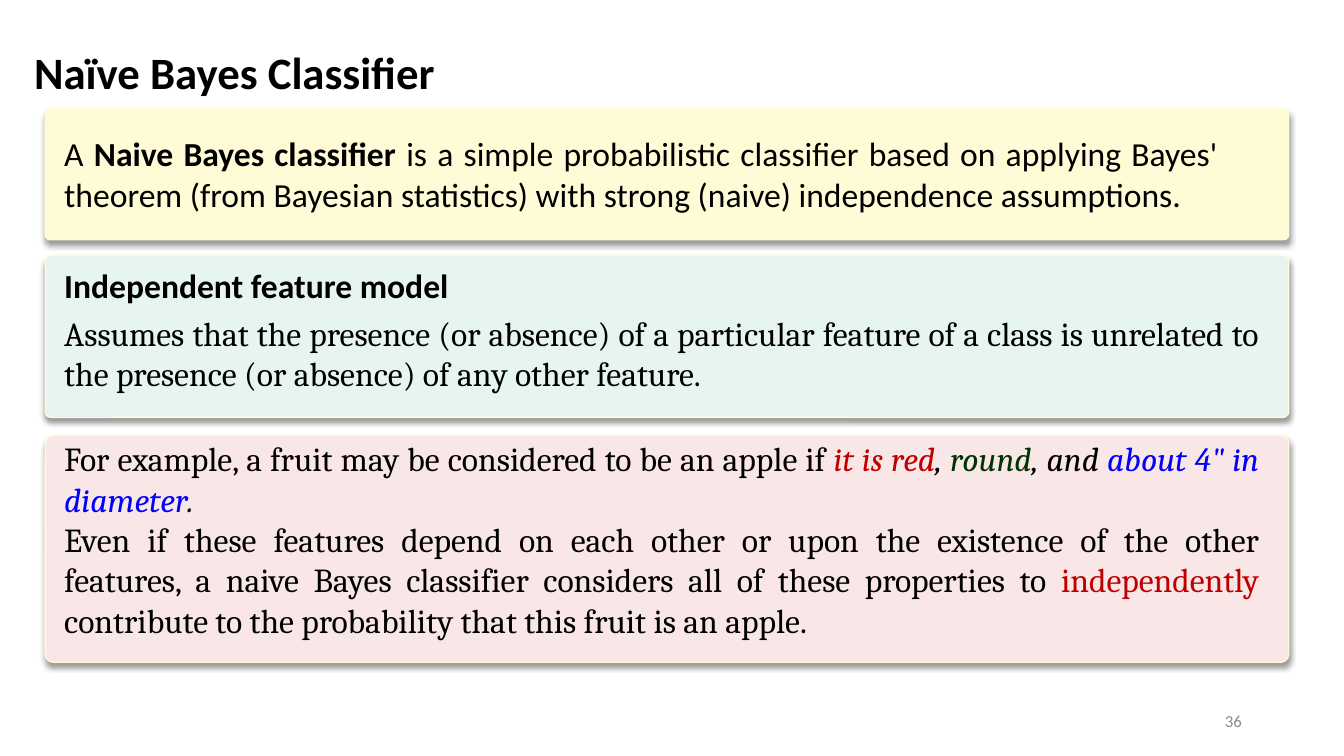
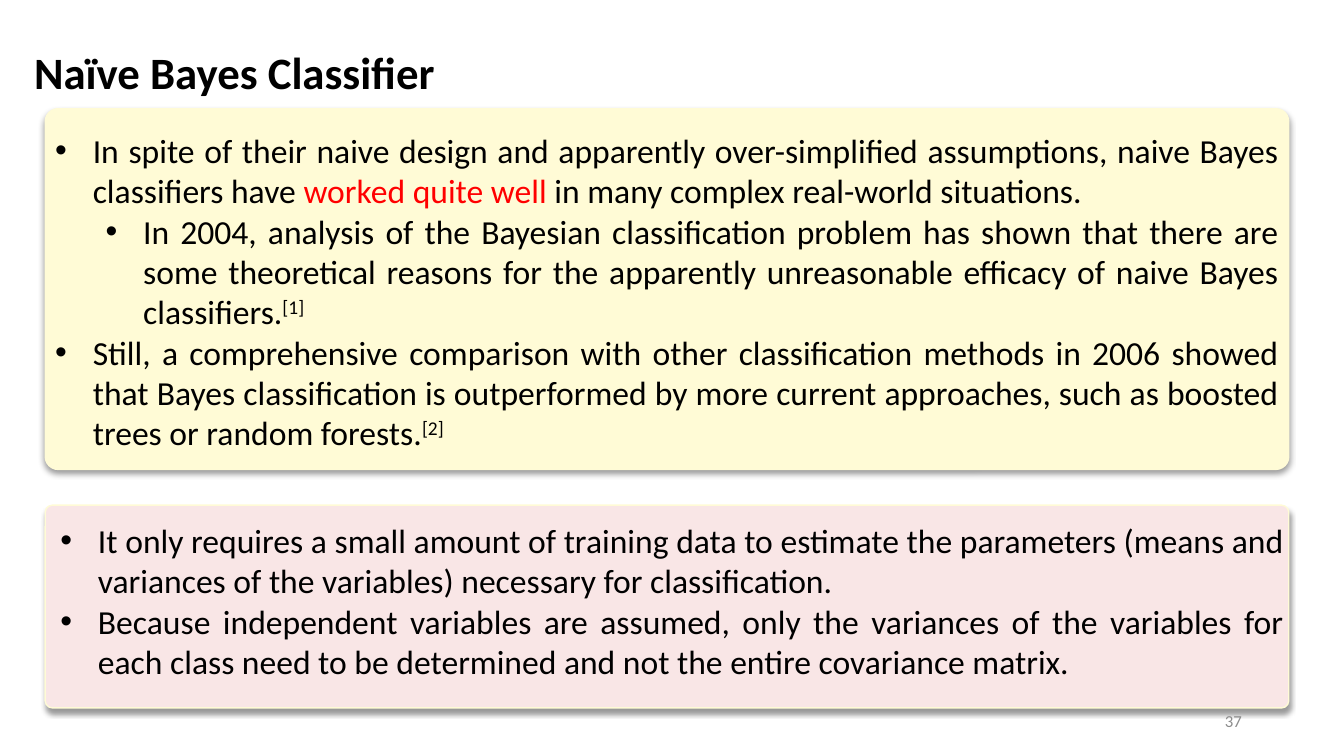
import lxml.etree
import pptx
import pptx.dml.color
import pptx.enum.shapes
import pptx.enum.text
import pptx.oxml.ns
import pptx.util
from pptx.util import Cm

qn = pptx.oxml.ns.qn
ALIGN = pptx.enum.text.PP_ALIGN
ANCHOR = pptx.enum.text.MSO_ANCHOR
FIT = pptx.enum.text.MSO_AUTO_SIZE

BLACK, GREY, RED, BRIGHT_RED = "000000", "8C8C8C", "C00000", "FF0000"
GREEN, BLUE = "003300", "0000FF"
YELLOW, MINT, PINK = "FFFBD6", "E6F5F0", "F9E6E6"

PANEL_LEFT, PANEL_WIDTH = 1.14, 31.34
TITLE = "Naïve Bayes Classifier"
TITLE_FORMAT = {"size": 32, "bold": True}
NUMBER_FORMAT = {"size": 12, "color": GREY}
SERIF = {"name": "Cambria"}
LINE_BREAK = "\n"
BULLET_STEP, BULLET_HANG = 1.27, 0.95


def color(hex_string):
    return pptx.dml.color.RGBColor.from_string(hex_string)


def add_text(slide, box, paragraphs, base=None, align=ALIGN.JUSTIFY, wrap=True,
             fit=FIT.SHAPE_TO_FIT_TEXT, anchor=ANCHOR.TOP, line_spacing=None):
    """Add a text box; each paragraph is (bullet level or None, [(text, format)])."""
    frame = slide.shapes.add_textbox(*map(Cm, box)).text_frame
    for name, value in {"word_wrap": wrap, "auto_size": fit,
                        "vertical_anchor": anchor}.items():
        setattr(frame, name, value)
    for index, (level, runs) in enumerate(paragraphs):
        paragraph = frame.add_paragraph() if index else frame.paragraphs[0]
        paragraph.alignment = align
        if line_spacing:
            paragraph.line_spacing = line_spacing
        if level is not None:
            paragraph.level = level
            properties = paragraph._p.get_or_add_pPr()
            properties.set("marL", str(Cm(BULLET_HANG + level * BULLET_STEP)))
            properties.set("indent", str(-Cm(BULLET_HANG)))
            lxml.etree.SubElement(properties, qn("a:buFont"), typeface="Arial")
            lxml.etree.SubElement(properties, qn("a:buChar"), char="•")
        for text, changes in runs:
            if text == LINE_BREAK:
                paragraph.add_line_break()
                continue
            run = paragraph.add_run()
            run.text = text
            style = {"name": "Calibri", "size": 24, "color": BLACK,
                     **(base or {}), **changes}
            run.font.color.rgb = color(style.pop("color"))
            run.font.size = pptx.util.Pt(style.pop("size"))
            if style.pop("superscript", False):
                run._r.get_or_add_rPr().set("baseline", "30000")
            for name, value in style.items():
                setattr(run.font, name, value)


slides = [
    {
        "number": "36",
        "panels": [(2.74, 3.3, YELLOW), (6.43, 4.09, MINT), (10.97, 5.72, PINK)],
        "texts": [
            {"box": (1.37, 3.23, 29.57, 2.31), "paragraphs": [(None, [
                ("A ", {}),
                ("Naive Bayes classifier ", {"bold": True}),
                ("is a simple probabilistic classifier based on applying Bayes' "
                 "theorem (from Bayesian statistics) with strong (naive) "
                 "independence assumptions.", {}),
            ])]},
            {"box": (1.37, 7.75, 30.61, 2.31), "base": SERIF, "paragraphs": [(None, [
                ("Assumes that the presence (or absence) of a particular feature "
                 "of a class is unrelated to the presence (or absence) of any "
                 "other feature.", {}),
            ])]},
            {"box": (1.37, 6.55, 10.29, 1.27), "wrap": False, "paragraphs": [(None, [
                ("Independent feature model", {"bold": True}),
            ])]},
            {"box": (1.37, 10.92, 30.61, 5.38), "base": SERIF, "paragraphs": [
                (None, [
                    ("For example, a fruit may be considered to be an apple if ", {}),
                    ("it is red", {"color": RED, "italic": True}),
                    (", ", {"italic": True}),
                    ("round", {"color": GREEN, "italic": True}),
                    (", and ", {"italic": True}),
                    ("about 4\" in diameter", {"color": BLUE, "italic": True}),
                    (".", {"italic": True}),
                ]),
                (None, [
                    ("Even if these features depend on each other or upon the "
                     "existence of the other", {}),
                    (LINE_BREAK, {}),
                    ("features, a naive Bayes classifier considers all of these "
                     "properties to ", {}),
                    ("independently", {"color": RED}),
                    (" contribute to the probability that this fruit is an apple.", {}),
                ]),
            ]},
        ],
    },
    {
        "number": "37",
        "panels": [(2.74, 9.09, YELLOW), (12.73, 5.11, PINK)],
        "texts": [
            {"box": (PANEL_LEFT, 3.15, PANEL_WIDTH, 8.46), "paragraphs": [
                (0, [
                    ("In spite of their naive design and apparently over-simplified "
                     "assumptions, naive Bayes classifiers have ", {}),
                    ("worked quite well ", {"color": BRIGHT_RED}),
                    ("in many complex real-world situations.", {}),
                ]),
                (1, [
                    ("In 2004, analysis of the Bayesian classification problem has "
                     "shown that there are some theoretical reasons for the "
                     "apparently unreasonable efficacy of naive Bayes classifiers.", {}),
                    ("[1]", {"superscript": True}),
                ]),
                (0, [
                    ("Still, a comprehensive comparison with other classification "
                     "methods in 2006 showed that Bayes classification is "
                     "outperformed by more current approaches, such as boosted "
                     "trees or random forests.", {}),
                    ("[2]", {"superscript": True}),
                ]),
            ]},
            {"box": (1.27, 12.98, PANEL_WIDTH, 4.37), "paragraphs": [
                (0, [("It only requires a small amount of training data to estimate "
                      "the parameters (means and variances of the variables) "
                      "necessary for classification.", {})]),
                (0, [("Because independent variables are assumed, only the variances "
                      "of the variables for each class need to be determined and "
                      "not the entire covariance matrix.", {})]),
            ]},
        ],
    },
]

presentation = pptx.Presentation()
presentation.slide_width = Cm(33.87)
presentation.slide_height = Cm(19.05)

for content in slides:
    slide = presentation.slides.add_slide(presentation.slide_layouts[6])

    for top, height, fill in content["panels"]:
        panel = slide.shapes.add_shape(
            pptx.enum.shapes.MSO_SHAPE.ROUNDED_RECTANGLE,
            Cm(PANEL_LEFT), Cm(top), Cm(PANEL_WIDTH), Cm(height))
        panel.adjustments[0] = 0.036
        panel.fill.solid()
        panel.fill.fore_color.rgb = color(fill)
        panel.line.color.rgb = color(YELLOW)
        panel.line.width = pptx.util.Pt(1)
        panel.shadow.inherit = False
        effects = panel._element.spPr.find(qn("a:effectLst"))
        shadow = lxml.etree.SubElement(
            effects, qn("a:outerShdw"), blurRad=str(pptx.util.Pt(4)),
            dist=str(pptx.util.Pt(3)), dir="5400000", rotWithShape="0")
        shadow_color = lxml.etree.SubElement(shadow, qn("a:srgbClr"), val=BLACK)
        lxml.etree.SubElement(shadow_color, qn("a:alpha"), val="40000")

    add_text(slide, (0.61, 0.33, 10.72, 2.11), [(None, [(TITLE, TITLE_FORMAT)])],
             align=ALIGN.LEFT, wrap=False, line_spacing=1.5)
    for text in content["texts"]:
        add_text(slide, **text)
    add_text(slide, (23.93, 17.65, 7.62, 1.02),
             [(None, [(content["number"], NUMBER_FORMAT)])],
             align=ALIGN.RIGHT, fit=FIT.NONE, anchor=ANCHOR.MIDDLE)

presentation.save("out.pptx")
